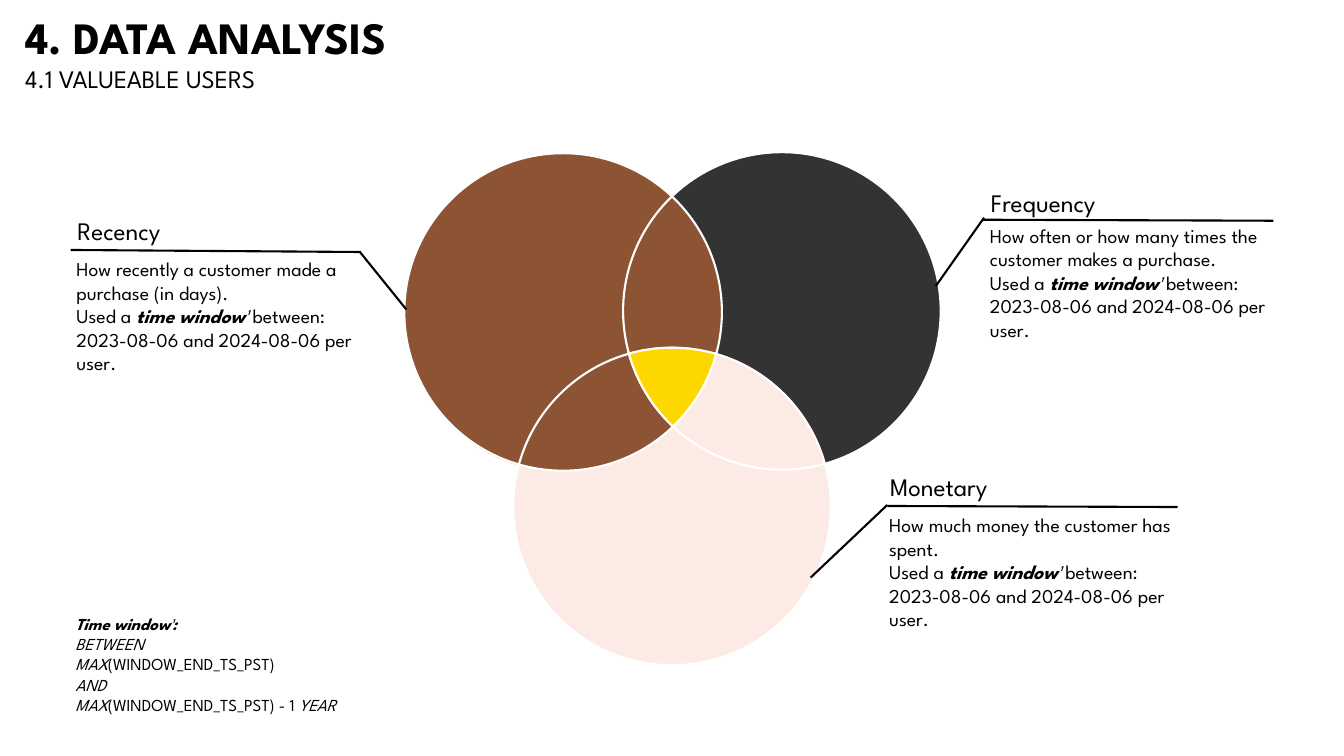
import math
from pptx import Presentation
from pptx import util as u
from pptx.dml.color import RGBColor
from pptx.enum import shapes, text
from pptx.oxml.ns import qn
from lxml import etree

FONT = "League Spartan"
BLACK, WHITE, GOLD = "000000", "FFFFFF", "FFD700"
BROWN, CHARCOAL, BLUSH = "8D5434", "333333", "FCEBE5"
DIAMETER = 3.15
BOLD, ITALIC = {"bold": True}, {"italic": True}
BOLD_ITALIC = {**BOLD, **ITALIC}


def rgb(value):
    return RGBColor.from_string(value)


def paint(sp, fill=None, line=None):
    sp.shadow.inherit = False
    if fill:
        sp.fill.solid()
        sp.fill.fore_color.rgb = rgb(fill)
    else:
        sp.fill.background()
    if line:
        sp.line.color.rgb = rgb(line)
        sp.line.width = u.Pt(1.5)
    else:
        sp.line.fill.background()


def add_text(s, box, paragraphs, wrap=True):
    """Each paragraph is a size and a list of (text, format) runs."""
    tf = s.shapes.add_textbox(*map(u.Inches, box)).text_frame
    tf.word_wrap = wrap
    tf.auto_size = text.MSO_AUTO_SIZE.SHAPE_TO_FIT_TEXT
    for i, (size, runs) in enumerate(paragraphs):
        p = tf.add_paragraph() if i else tf.paragraphs[0]
        for words, extra in runs:
            r = p.add_run()
            r.text = words
            r.font.color.rgb = rgb(BLACK)
            for name, value in {"name": FONT, "size": u.Pt(size), **extra}.items():
                setattr(r.font, name, value)


def add_line(s, start, end):
    line = s.shapes.add_connector(
        shapes.MSO_CONNECTOR.STRAIGHT, *map(u.Inches, (*start, *end)))
    line.line.color.rgb = rgb(BLACK)
    line.line.width = u.Pt(1.5)
    etree.SubElement(line._element.spPr, qn("a:effectLst"))


def add_header(s, left, top):
    add_text(s, (left, top, 4.2, 0.94), [
        (32, [("4. DATA ANALYSIS", BOLD)]),
        (18, [("4.1 VALUEABLE USERS", {})]),
    ], wrap=False)


def add_circle(s, left, top, fill=None, line=None):
    sp = s.shapes.add_shape(
        shapes.MSO_SHAPE.OVAL, *map(u.Inches, (left, top, DIAMETER, DIAMETER)))
    paint(sp, fill, line)


def arc(left, top, start, end, steps=16):
    """Points along a circle, in degrees clockwise from the right."""
    radius = DIAMETER / 2
    angles = [math.radians(start + (end - start) * i / steps) for i in range(steps + 1)]
    return [(left + radius * (1 + math.cos(a)), top + radius * (1 + math.sin(a)))
            for a in angles]


def add_venn(s, left, top):
    recency = (left, top + 0.01)
    frequency = (left + 2.17, top)
    monetary = (left + 1.08, top + 1.94)

    # Filled circles, then white outlines
    add_circle(s, *frequency, fill=CHARCOAL)
    add_circle(s, left, top + 0.02, fill=BROWN)
    add_circle(s, left + 1.08, top + 1.93, fill=BLUSH)
    add_circle(s, *recency, fill=BROWN, line=WHITE)
    add_circle(s, *monetary, line=WHITE)
    add_circle(s, *frequency, line=WHITE)

    # Shared centre, bounded by one arc of each circle
    points = (arc(*monetary, 254, 285.5) + arc(*recency, 15, 46)
              + arc(*frequency, 133.5, 165))
    points = [(u.Inches(x), u.Inches(y)) for x, y in points]
    builder = s.shapes.build_freeform(*points[0])
    builder.add_line_segments(points[1:], close=True)
    paint(builder.convert_to_shape(), GOLD, WHITE)


def add_callout(s, left, top, heading, lead, body_gap, bar, pointer):
    add_line(s, *bar)
    add_line(s, *pointer)
    add_text(s, (left, top, 1.74, 0.4), [(18, [(heading, {})])])
    add_text(s, (left - 0.01, top + body_gap, 3.02, 1.28), [
        (14, [(lead, {})]),
        (14, [("Used a ", {}), ("time window¹ ", BOLD_ITALIC), ("between:", {})]),
        (14, [("2023-08-06 and 2024-08-06 per user.", {})]),
    ])


def add_footnote(s, left, top):
    add_text(s, (left, top, 4.29, 1.11), [
        (12, [("Time window¹:", BOLD_ITALIC)]),
        (12, [("BETWEEN", ITALIC)]),
        (12, [("MAX", ITALIC), ("(WINDOW_END_TS_PST)", {})]),
        (12, [("AND", ITALIC)]),
        (12, [("MAX", ITALIC), ("(WINDOW_END_TS_PST) - 1 ", {}), ("YEAR", ITALIC)]),
    ])


def main():
    prs = Presentation()
    prs.slide_width, prs.slide_height = u.Inches(13.33), u.Inches(7.5)
    s = prs.slides.add_slide(prs.slide_layouts[6])

    add_header(s, 0.15, 0.05)
    add_venn(s, 4.01, 1.51)
    add_callout(s, 0.67, 2.09, "Recency",
                "How recently a customer made a purchase (in days).", 0.41,
                bar=((3.58, 2.5), (0.7, 2.48)), pointer=((4.03, 3.07), (3.57, 2.5)))
    add_callout(s, 9.73, 1.81, "Frequency",
                "How often or how many times the customer makes a purchase.", 0.36,
                bar=((12.63, 2.19), (9.75, 2.18)), pointer=((9.28, 2.84), (9.76, 2.16)))
    add_callout(s, 8.73, 4.63, "Monetary",
                "How much money the customer has spent.", 0.41,
                bar=((11.68, 5.03), (8.8, 5.02)), pointer=((8.04, 5.73), (8.8, 5.01)))
    add_footnote(s, 0.65, 6.04)

    prs.save("out.pptx")


if __name__ == "__main__":
    main()
